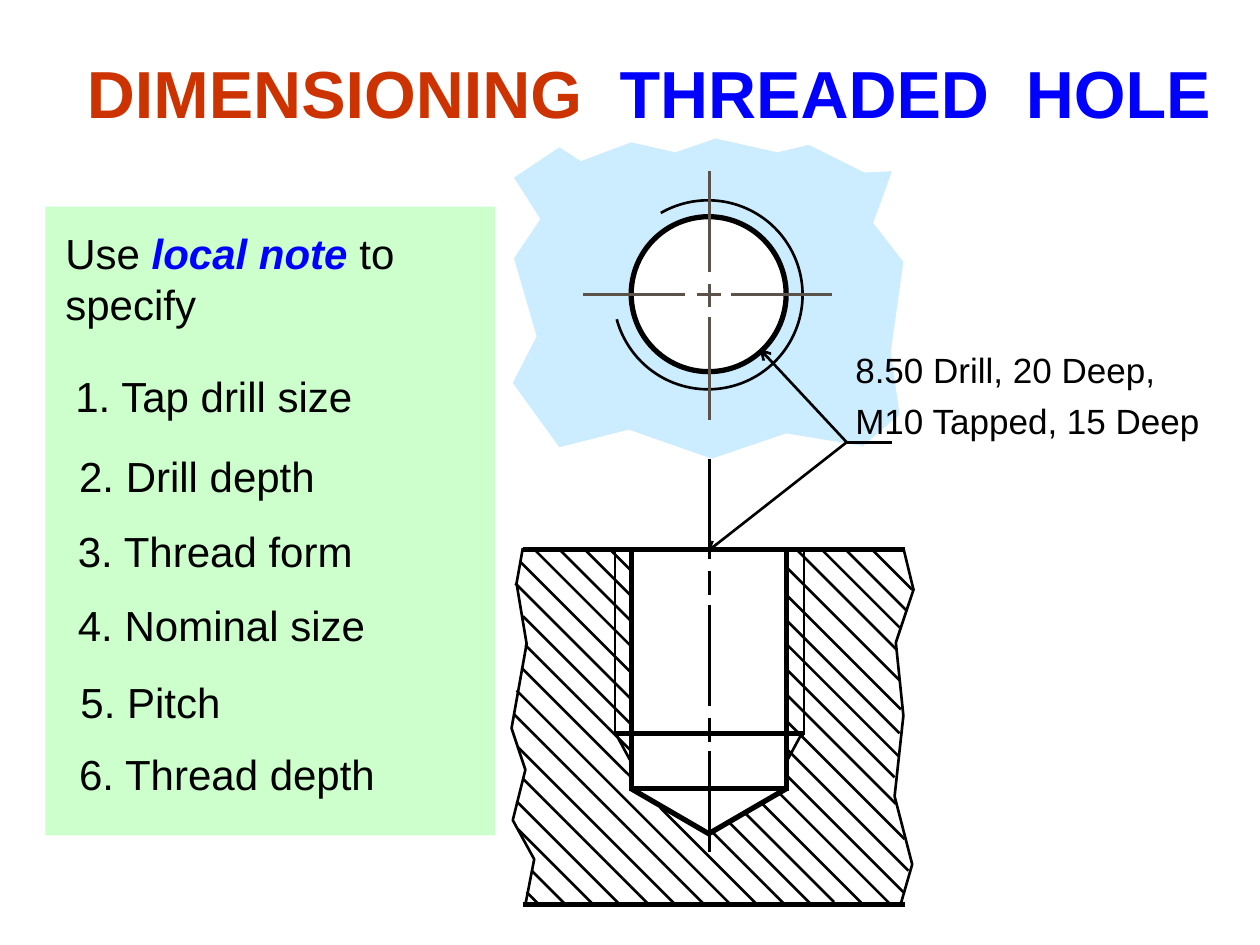
from dataclasses import dataclass

from lxml.etree import SubElement
from pptx import Presentation
from pptx.dml.color import RGBColor
from pptx.enum.shapes import MSO_CONNECTOR as CONNECTOR, MSO_SHAPE as SHAPE
from pptx.enum.text import MSO_ANCHOR as ANCHOR, MSO_AUTO_SIZE as AUTO_SIZE, PP_ALIGN as ALIGN
from pptx.oxml.ns import qn
from pptx.util import Emu, Pt

PX = 9144  # EMU per px, 100 px to the inch


@dataclass(frozen=True)
class Theme:
    font: str = "Arial"
    black: str = "000000"
    white: str = "FFFFFF"
    red: str = "CC3300"
    blue: str = "0000FF"
    plate: str = "CCECFF"
    panel: str = "CCFFCC"
    axis: str = "5B5249"
    title: int = 38
    body: int = 24
    note: int = 20
    thin: float = 1.5
    thick: float = 3


THEME = Theme()

# Outlines, as (x, y)
PLATE = [(461, 128), (501, 113), (536, 121), (568, 110), (617, 121), (642, 115),
         (686, 137), (708, 136), (693, 177), (717, 208), (707, 279), (714, 329),
         (685, 354), (624, 344), (565, 364), (499, 341), (444, 355), (407, 304),
         (426, 267), (408, 205), (429, 174), (408, 141), (444, 117)]
LEFT_BREAK = [(415, 435), (410, 463), (418, 511), (406, 578),
              (417, 611), (407, 651), (424, 682), (417, 718)]
RIGHT_BREAK = [(715, 717), (724, 686), (710, 632), (717, 568),
               (711, 510), (725, 468), (717, 435)]

# Section lines, as (x1, y1, x2, y2)
HOLE_EDGES = [(501, 437, 501, 625), (624, 437, 624, 625), (499, 626, 626, 626),
              (501, 626, 563, 662), (624, 626, 562, 662), (487, 582, 638, 582)]
BLOCK_EDGES = [(415, 436, 718, 436), (415, 718, 718, 718)]
THREAD_EDGES = [(488, 437, 488, 581), (638, 437, 638, 583),
                (488, 581, 501, 605), (637, 581, 624, 605)]

# 45-degree hatching, as (x, y, run)
HATCH_RIGHT = [(692, 436, 32), (671, 436, 49), (652, 436, 62), (632, 436, 80),
               (623, 449, 91), (623, 471, 92), (623, 491, 91), (623, 510, 90),
               (624, 531, 86), (624, 551, 87), (624, 572, 94), (623, 593, 98),
               (625, 616, 92)]
HATCH_BELOW = [(619, 630, 88), (604, 637, 81), (592, 646, 70), (578, 652, 66),
               (566, 661, 56), (524, 641, 77)]
HATCH_LEFT = [(410, 548, 170), (408, 567, 150), (411, 593, 125), (415, 618, 100),
              (410, 636, 81), (411, 658, 60), (422, 691, 27), (418, 708, 10),
              (414, 530, 87), (417, 512, 84), (415, 489, 86), (409, 463, 92),
              (413, 446, 88), (424, 436, 77), (444, 436, 57), (464, 436, 37),
              (484, 436, 17)]

# Centre lines: long and short dashes as (start, end)
CENTRE_X, CENTRE_Y = 563, 234
SECTION_DASHES = [(676, 596), (589, 570), (560, 480), (472, 453), (444, 364)]
PLAN_DASHES_Y = [(333, 252), (244, 225), (216, 136)]
PLAN_DASHES_X = [(660, 580), (572, 553), (544, 463)]

# Local note contents, as (text, x, y, width)
ITEMS = [("1. Tap drill size", 50, 289, 244), ("2. Drill depth", 53, 353, 207),
         ("3. Thread form", 52, 412, 238), ("4. Nominal size", 52, 471, 248),
         ("5. Pitch", 54, 532, 131), ("6. Thread depth", 53, 589, 255)]


def rgb(color):
    return RGBColor.from_string(color)


def style(shape, fill=None, line=None, width=THEME.thin):
    shape.shadow.inherit = False
    if fill:
        shape.fill.solid()
        shape.fill.fore_color.rgb = rgb(fill)
    else:
        shape.fill.background()
    if line:
        shape.line.color.rgb = rgb(line)
        shape.line.width = Pt(width)
    else:
        shape.line.fill.background()


def add_shape(slide, kind, box, **look):
    shape = slide.shapes.add_shape(kind, *(Emu(v * PX) for v in box))
    style(shape, **look)
    return shape


def add_outline(slide, points, close=False, **look):
    builder = slide.shapes.build_freeform(*points[0], scale=PX)
    builder.add_line_segments(points[1:], close=close)
    style(builder.convert_to_shape(), **look)


def add_line(slide, ends, color=THEME.black, width=THEME.thin, arrow=False):
    line = slide.shapes.add_connector(CONNECTOR.STRAIGHT, *(Emu(v * PX) for v in ends))
    line.line.color.rgb = rgb(color)
    line.line.width = Pt(width)
    if arrow:
        SubElement(line.line._get_or_add_ln(), qn("a:tailEnd"), type="arrow")
    SubElement(line._element.spPr, qn("a:effectLst"))


def write_text(shape, paragraphs, size, space=0, auto_size=AUTO_SIZE.SHAPE_TO_FIT_TEXT):
    """Fill a shape with paragraphs, each a list of (text, color, bold, italic)."""
    frame = shape.text_frame
    frame.word_wrap = False
    frame.auto_size = auto_size
    frame.vertical_anchor = ANCHOR.TOP
    for index, runs in enumerate(paragraphs):
        paragraph = frame.add_paragraph() if index else frame.paragraphs[0]
        paragraph.alignment = ALIGN.LEFT
        paragraph.space_before = Pt(space if index else 0)
        for text, color, bold, italic in runs:
            run = paragraph.add_run()
            run.text = text
            run.font.name = THEME.font
            run.font.size = Pt(size)
            run.font.color.rgb = rgb(color)
            run.font.bold = bold
            run.font.italic = italic


def add_text(slide, box, paragraphs, size, space=0):
    shape = slide.shapes.add_textbox(*(Emu(v * PX) for v in box))
    write_text(shape, paragraphs, size, space)


def plain(text):
    return (text, THEME.black, False, False)


def add_title(slide):
    title = slide.shapes.title
    title.left, title.top, title.width, title.height = (
        Emu(v * PX) for v in (59, 36, 936, 74))
    write_text(title, [[("DIMENSIONING  ", THEME.red, True, False),
                        ("THREADED  HOLE", THEME.blue, True, False)]],
               THEME.title, auto_size=AUTO_SIZE.NONE)


def add_plan_view(slide):
    add_outline(slide, PLATE, close=True, fill=THEME.plate)
    add_shape(slide, SHAPE.OVAL, (501, 172, 123, 123),
              fill=THEME.white, line=THEME.black, width=THEME.thick)
    thread = add_shape(slide, SHAPE.ARC, (487, 159, 150, 150), line=THEME.black)
    for index, degrees in enumerate((240, 165)):
        thread.adjustments[index] = degrees * 0.6  # 60000 units per degree
    for start, end in PLAN_DASHES_Y:
        add_line(slide, (CENTRE_X, start, CENTRE_X, end), THEME.axis)
    for start, end in PLAN_DASHES_X:
        add_line(slide, (start, CENTRE_Y, end, CENTRE_Y), THEME.axis)


def add_section_view(slide):
    for x, y, run in HATCH_RIGHT + HATCH_BELOW + HATCH_LEFT:
        add_line(slide, (x, y, x + run, y + run))
    for ends in HOLE_EDGES + BLOCK_EDGES:
        add_line(slide, ends, width=THEME.thick)
    for ends in THREAD_EDGES:
        add_line(slide, ends)
    for start, end in SECTION_DASHES:
        add_line(slide, (CENTRE_X, start, CENTRE_X, end))
    for points in (LEFT_BREAK, RIGHT_BREAK):
        add_outline(slide, points, line=THEME.black)


def add_panel(slide):
    add_shape(slide, SHAPE.RECTANGLE, (36, 164, 357, 499), fill=THEME.panel)
    add_text(slide, (42, 176, 281, 90),
             [[plain("Use "), ("local note ", THEME.blue, True, True), plain("to")],
              [plain("specify")]], THEME.body)
    for text, x, y, width in ITEMS:
        add_text(slide, (x, y, width, 50), [[plain(text)]], THEME.body)


def add_callout(slide):
    add_text(slide, (669, 272, 297, 84),
             [[plain("8.50 Drill, 20 Deep,")], [plain("M10 Tapped, 15 Deep")]],
             THEME.note, space=5)
    for tip in ((561, 438), (603, 277)):
        add_line(slide, (672, 351, *tip), arrow=True)
    add_line(slide, (672, 351, 708, 351))


def main():
    presentation = Presentation()
    presentation.slide_width, presentation.slide_height = Emu(1000 * PX), Emu(750 * PX)
    slide = presentation.slides.add_slide(presentation.slide_layouts[5])
    add_title(slide)
    add_plan_view(slide)
    add_section_view(slide)
    add_panel(slide)
    add_callout(slide)
    presentation.save("out.pptx")


if __name__ == "__main__":
    main()
